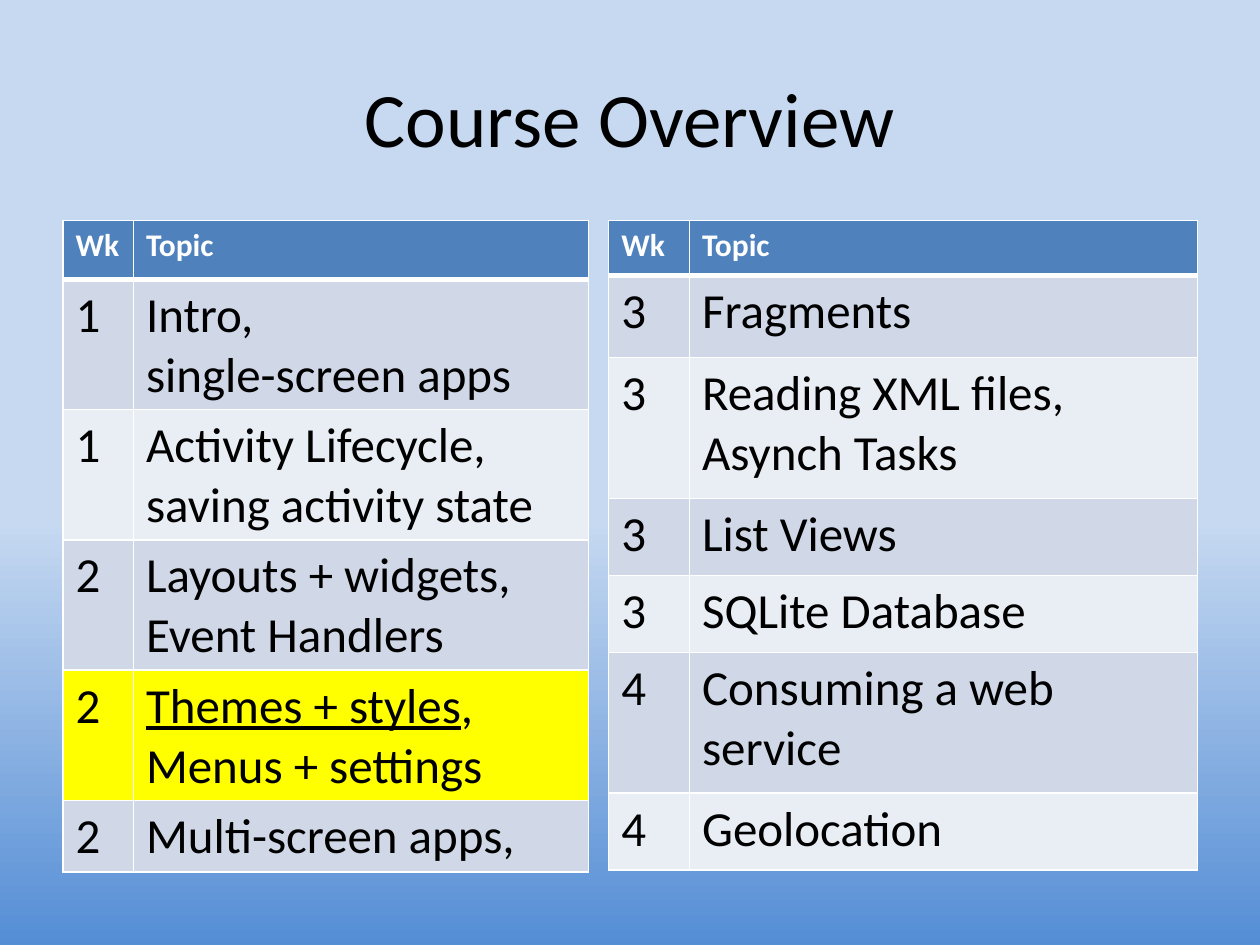
from lxml.etree import SubElement
from pptx import Presentation
from pptx.dml.color import RGBColor
from pptx.enum.text import MSO_ANCHOR, PP_ALIGN
from pptx.oxml.ns import qn
from pptx.util import Cm, Pt

FONT = "Calibri"
COLORS = {
    "sky": "C6D9F1",
    "deep": "558ED5",
    "header": "4F81BD",
    "odd": "D0D8E8",
    "even": "E9EDF4",
    "current": "FFFF00",
    "white": "FFFFFF",
    "black": "000000",
}
TABLE_TOP = 4.44
TABLE_HEIGHT = 13.13
CURRENT_TOPIC = "Themes + styles"

FIRST_HALF = [
    ("1", [["Intro, ", "\n", "single-screen apps"]]),
    ("1", [["Activity Lifecycle, saving activity state"]]),
    ("2", [["Layouts + widgets,"], ["Event Handlers"]]),
    ("2", [[CURRENT_TOPIC, ","], ["Menus + settings"]]),
    ("2", [["Multi-screen apps,"]]),
]
SECOND_HALF = [
    ("3", [["Fragments"]]),
    ("3", [["Reading XML files,"], ["Asynch Tasks"]]),
    ("3", [["List Views"]]),
    ("3", [["SQLite Database"]]),
    ("4", [["Consuming a web service"]]),
    ("4", [["Geolocation"]]),
]


def rgb(name):
    return RGBColor.from_string(COLORS[name])


def paint_background(slide):
    fill = slide.background.fill
    fill.gradient()
    fill.gradient_angle = 270
    for stop, (position, color) in zip(fill.gradient_stops, [(0.55, "sky"), (1, "deep")]):
        stop.position = position
        stop.color.rgb = rgb(color)


def add_run(paragraph, text, size, color, bold=False):
    run = paragraph.add_run()
    run.text = text
    run.font.name = FONT
    run.font.size = Pt(size)
    run.font.bold = bold
    run.font.color.rgb = rgb(color)
    if text == CURRENT_TOPIC:
        run.font.underline = True


def add_title(slide, text):
    shape = slide.shapes.add_textbox(Cm(1.27), Cm(0.76), Cm(22.86), Cm(3.18))
    frame = shape.text_frame
    frame.word_wrap = True
    frame.vertical_anchor = MSO_ANCHOR.MIDDLE
    paragraph = frame.paragraphs[0]
    paragraph.alignment = PP_ALIGN.CENTER
    add_run(paragraph, text, 44, "black")


def set_borders(cell, top, bottom):
    properties = cell._tc.get_or_add_tcPr()
    for side, width in (("L", 1), ("R", 1), ("T", top), ("B", bottom)):
        line = SubElement(properties, qn(f"a:ln{side}"), w=str(Pt(width)))
        solid = SubElement(line, qn("a:solidFill"))
        SubElement(solid, qn("a:srgbClr"), val=COLORS["white"])


def fill_cell(cell, paragraphs, fill, size, color, bold, top, bottom):
    set_borders(cell, top, bottom)
    cell.fill.solid()
    cell.fill.fore_color.rgb = rgb(fill)
    for index, texts in enumerate(paragraphs):
        frame = cell.text_frame
        paragraph = frame.add_paragraph() if index else frame.paragraphs[0]
        for text in texts:
            if text == "\n":
                paragraph.add_line_break()
            else:
                add_run(paragraph, text, size, color, bold)


def row_fill(index, topic):
    if topic[0][0] == CURRENT_TOPIC:
        return "current"
    return "odd" if index % 2 else "even"


def add_schedule(slide, left, widths, heights, topics):
    shape = slide.shapes.add_table(
        len(topics) + 1, 2, Cm(left), Cm(TABLE_TOP), Cm(sum(widths)), Cm(TABLE_HEIGHT)
    )
    table = shape.table
    for column, width in zip(table.columns, widths):
        column.width = Cm(width)
    for row, height in zip(table.rows, heights):
        row.height = Cm(height)
    shape.height = Cm(TABLE_HEIGHT)
    for column, heading in enumerate(("Wk", "Topic")):
        fill_cell(table.cell(0, column), [[heading]], "header", 18, "white", True, 1, 3)
    for index, (week, topic) in enumerate(topics, start=1):
        top = 3 if index == 1 else 1
        for column, paragraphs in enumerate(([[week]], topic)):
            fill_cell(table.cell(index, column), paragraphs, row_fill(index, topic),
                      28, "black", False, top, 1)


def main():
    presentation = Presentation()
    presentation.slide_width = Cm(25.4)
    presentation.slide_height = Cm(19.05)
    slide = presentation.slides.add_slide(presentation.slide_layouts[6])
    paint_background(slide)
    add_title(slide, "Course Overview")
    add_schedule(slide, 1.27, (1.42, 9.17), [1.19] * 6, FIRST_HALF)
    add_schedule(slide, 12.27, (1.63, 10.24),
                 [1.12, 1.65, 2.84, 1.55, 1.55, 2.84, 1.55], SECOND_HALF)
    presentation.save("out.pptx")


if __name__ == "__main__":
    main()
